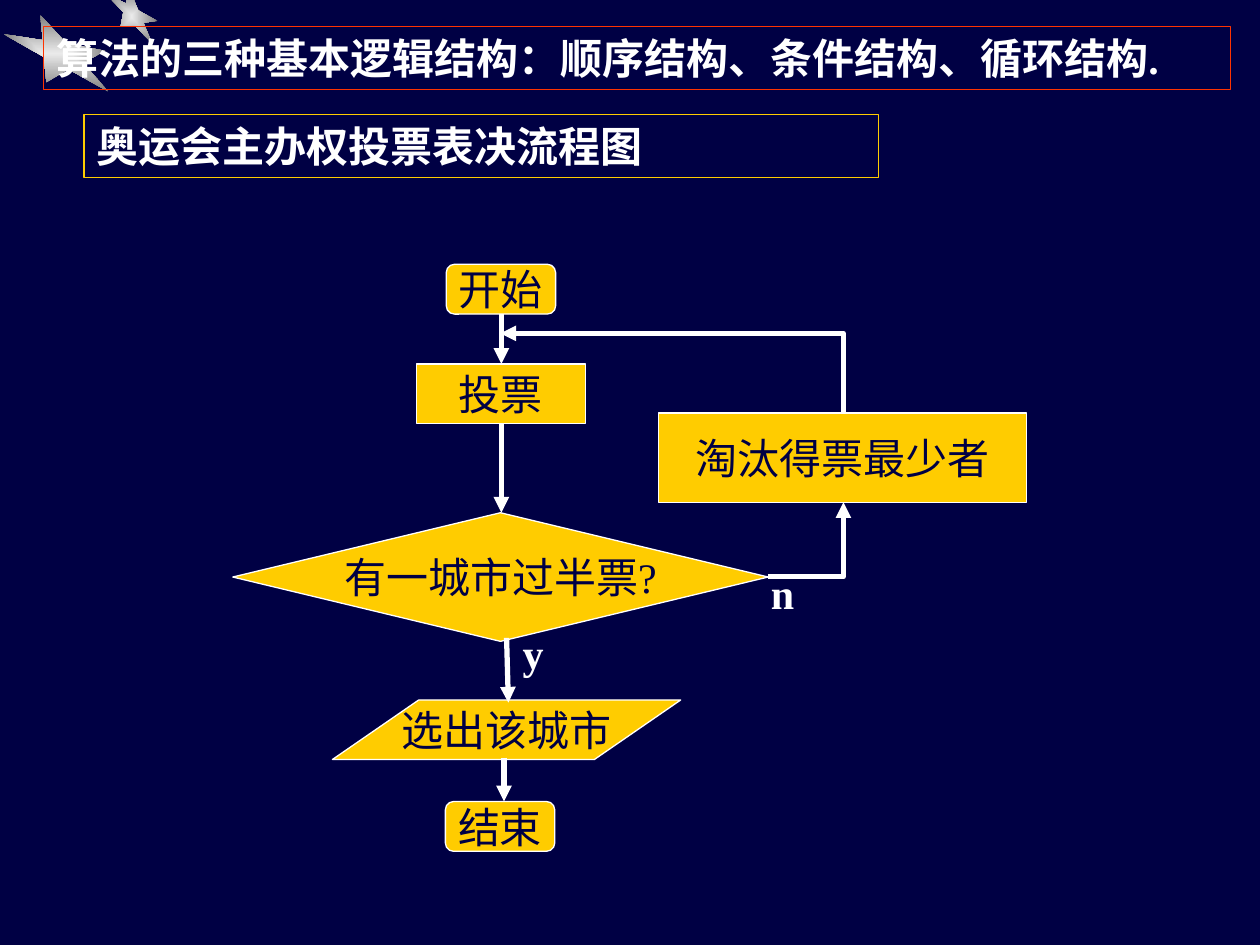
import pptx
import pptx.util
import pptx.dml.color
import pptx.enum.shapes
import pptx.enum.text
import pptx.oxml
import pptx.oxml.ns
from lxml import etree

Pt = pptx.util.Pt
RGB = pptx.dml.color.RGBColor
KIND = pptx.enum.shapes.MSO_SHAPE
LINK = pptx.enum.shapes.MSO_CONNECTOR
ALIGN = pptx.enum.text.PP_ALIGN
ANCHOR = pptx.enum.text.MSO_ANCHOR
qn = pptx.oxml.ns.qn

NAVY = RGB(0x00, 0x00, 0x44)
WHITE = RGB(0xFF, 0xFF, 0xFF)
GOLD = RGB(0xFF, 0xCC, 0x00)
RED = RGB(0xFF, 0x33, 0x00)

FONT = {"name": "Times New Roman", "size": Pt(24)}
FRAME = {"margin_left": Pt(7.2), "margin_right": Pt(7.2),
         "margin_top": Pt(3.6), "margin_bottom": Pt(3.6),
         "auto_size": pptx.enum.text.MSO_AUTO_SIZE.NONE}

GRADIENT = (
    '<a:gradFill xmlns:a="http://schemas.openxmlformats.org/drawingml/2006/main"'
    ' rotWithShape="1"><a:gsLst>'
    '<a:gs pos="0"><a:srgbClr val="EAEAEA"/></a:gs>'
    '<a:gs pos="100000"><a:srgbClr val="808080"/></a:gs></a:gsLst>'
    '<a:path path="rect"><a:fillToRect l="50000" t="50000" r="50000" b="50000"/>'
    '</a:path></a:gradFill>')


def write(shape, text, color, bold, align, anchor, wrap):
    frame = shape.text_frame
    for key, value in {**FRAME, "vertical_anchor": anchor, "word_wrap": wrap}.items():
        setattr(frame, key, value)
    para = frame.paragraphs[0]
    para.alignment = align
    run = para.add_run()
    run.text = text
    for key, value in {**FONT, "bold": bold}.items():
        setattr(run.font, key, value)
    run.font.color.rgb = color


def edge(shape, color):
    shape.line.color.rgb = color
    shape.line.width = Pt(0.75)


deck = pptx.Presentation()
deck.slide_width, deck.slide_height = Pt(720), Pt(540)
slide = deck.slides.add_slide(deck.slide_layouts[5])
slide.background.fill.solid()
slide.background.fill.fore_color.rgb = NAVY
shapes = slide.shapes

# Stars in the corner
stars = [
    [(87, 25), (77, 14.5), (69, 15), (70.5, 7), (60.5, -3.5),
     (72, 2), (74, -6), (79, 6), (90, 12), (82, 13)],
    [(62, 52.5), (39, 39.5), (26.5, 47), (25, 32.5), (2, 19.5),
     (24.5, 23), (23, 8.5), (38, 25), (60, 29), (47.5, 36)],
]
for star in stars:
    dots = [(Pt(x), Pt(y)) for x, y in star]
    path = shapes.build_freeform(*dots[0])
    path.add_line_segments(dots[1:], close=True)
    shape = path.convert_to_shape()
    shape.shadow.inherit = False
    shape.line.fill.background()
    shape.fill.background()
    blank = shape._element.spPr.find(qn("a:noFill"))
    blank.getparent().replace(blank, pptx.oxml.parse_xml(GRADIENT))

# Headings: the title goes above the stars
title = shapes.title
shapes._spTree.append(title._element)
topic = shapes.add_shape(KIND.RECTANGLE, 0, 0, 0, 0)
topic.shadow.inherit = False
heads = [
    (title, "算法的三种基本逻辑结构：顺序结构、条件结构、循环结构.", RED, (25, 15, 678, 36)),
    (topic, "奥运会主办权投票表决流程图", GOLD, (48, 65.5, 454, 36)),
]
for shape, text, color, place in heads:
    for key, value in zip(("left", "top", "width", "height"), place):
        setattr(shape, key, Pt(value))
    shape.fill.background()
    edge(shape, color)
    write(shape, text, WHITE, True, ALIGN.LEFT, ANCHOR.TOP, True)

# Flowchart steps
steps = [
    (KIND.FLOWCHART_ALTERNATE_PROCESS, "开始", 255, 151, 62.5, 28.5),
    (KIND.FLOWCHART_PROCESS, "投票", 238, 208, 96.5, 34),
    (KIND.FLOWCHART_DECISION, "有一城市过半票?", 133, 293, 306, 73.5),
    (KIND.FLOWCHART_PROCESS, "淘汰得票最少者", 376.5, 236, 210, 51),
    (KIND.PARALLELOGRAM, "选出该城市", 190, 400, 199, 34),
    (KIND.FLOWCHART_ALTERNATE_PROCESS, "结束", 254.5, 458, 62.5, 28.5),
]
for kind, text, *place in steps:
    shape = shapes.add_shape(kind, *map(Pt, place))
    shape.shadow.inherit = False
    shape.fill.solid()
    shape.fill.fore_color.rgb = GOLD
    edge(shape, WHITE)
    if kind == KIND.PARALLELOGRAM:
        shape.adjustments[0] = 1.45
    write(shape, text, NAVY, False, ALIGN.CENTER, ANCHOR.MIDDLE, False)

# Arrows; the loop back is drawn from its head
arrows = [
    (LINK.STRAIGHT, "tailEnd", 286.5, 179.5, 286.5, 208),
    (LINK.STRAIGHT, "tailEnd", 286.5, 242, 286.5, 293),
    (LINK.STRAIGHT, "tailEnd", 289.5, 364.5, 290.5, 401.5),
    (LINK.STRAIGHT, "tailEnd", 288, 433, 288, 458),
    (LINK.ELBOW, "tailEnd", 439, 329.5, 482, 287),
    (LINK.ELBOW, "headEnd", 286, 190.5, 482, 236),
]
for kind, end, *ends in arrows:
    arrow = shapes.add_connector(kind, *map(Pt, ends))
    arrow.line.color.rgb = WHITE
    arrow.line.width = Pt(3)
    props = arrow._element.spPr
    if kind == LINK.ELBOW:
        props.find(qn("a:prstGeom")).set("prst", "bentConnector2")
    etree.SubElement(props.find(qn("a:ln")), qn("a:" + end), type="triangle")
    etree.SubElement(props, qn("a:effectLst"))

# Branch labels
for text, *place in [("y", 291.5, 355, 40, 36), ("n", 433.5, 320.5, 45, 36)]:
    label = shapes.add_textbox(*map(Pt, place))
    write(label, text, WHITE, True, ALIGN.LEFT, ANCHOR.TOP, True)

deck.save("out.pptx")
